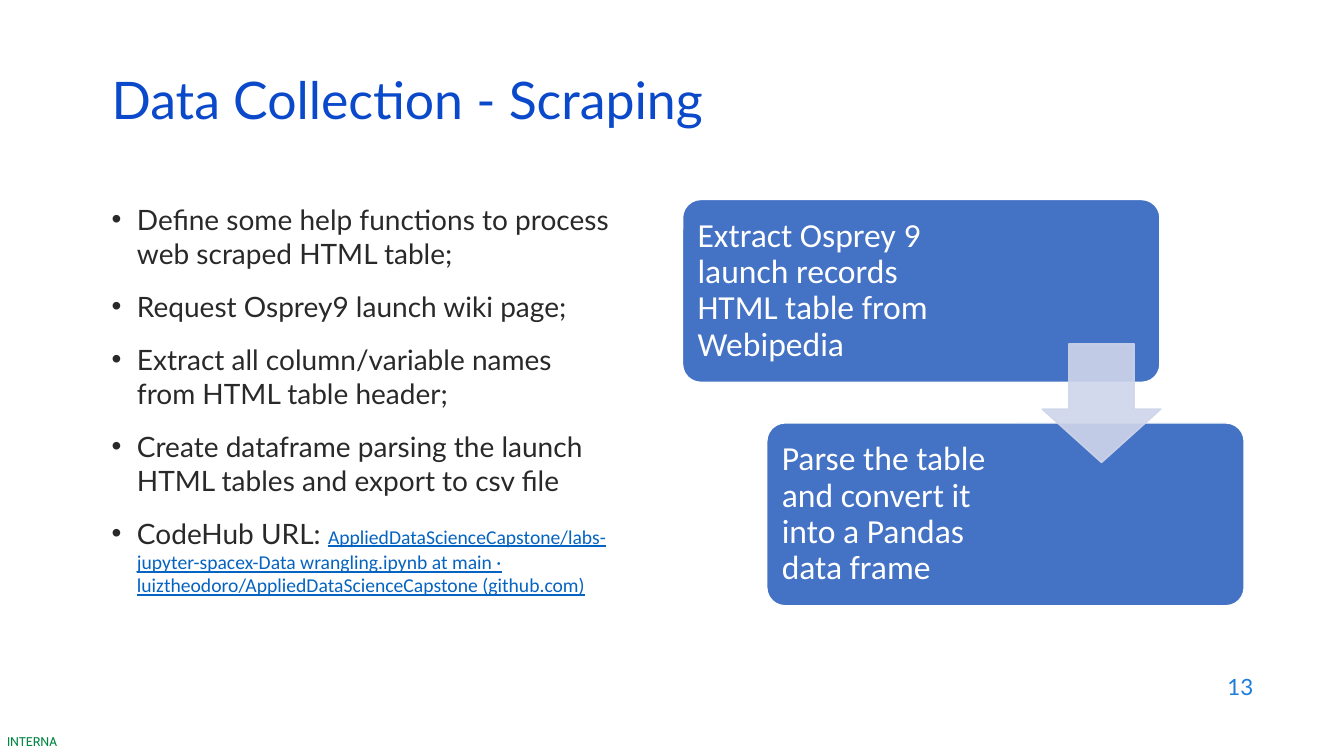
import pptx
import pptx.util
import pptx.dml.color
import pptx.enum.shapes
import pptx.enum.text
import pptx.oxml
import pptx.oxml.ns
from dataclasses import dataclass


@dataclass(frozen=True)
class Theme:
    title: str = "0B49CB"
    body: str = "292929"
    link: str = "0563C1"
    number: str = "1C7DDB"
    label: str = "008542"
    card: str = "4472C4"
    arrow: str = "CFD5EA"
    white: str = "FFFFFF"
    text_font: str = "Lato"
    card_font: str = "Calibri"
    label_font: str = "Cabin"
    title_size: int = 37
    card_size: int = 24
    body_size: int = 20
    number_size: int = 16
    link_size: int = 14
    label_size: int = 9


THEME = Theme()
WIDTH, HEIGHT = 13.33, 7.5
MARGIN = 1.01
BULLETS = [
    "Define some help functions to process web scraped HTML table;",
    "Request Osprey9 launch wiki page;",
    "Extract all column/variable names from HTML table header;",
    "Create dataframe parsing the launch HTML tables and export to csv file",
    "CodeHub URL: ",
]
LINK = ("AppliedDataScienceCapstone/labs-jupyter-spacex-Data wrangling.ipynb at main · "
        "luiztheodoro/AppliedDataScienceCapstone (github.com)")
STEPS = [
    ("Extract Osprey 9 launch records HTML table from Webipedia", 2.86),
    ("Parse the table and convert it into a Pandas data frame", 2.62),
]


def color(value):
    return pptx.dml.color.RGBColor.from_string(value)


def inches(box):
    return [pptx.util.Inches(length) for length in box]


def add_run(paragraph, text, size, font, fill, underline=None):
    run = paragraph.add_run()
    run.text = text
    run.font.size = pptx.util.Pt(size)
    run.font.name = font
    run.font.color.rgb = color(fill)
    run.font.underline = underline


def add_frame(slide, box, anchor=pptx.enum.text.MSO_ANCHOR.MIDDLE, inset=(0.1, 0.05)):
    frame = slide.shapes.add_textbox(*inches(box)).text_frame
    frame.word_wrap = True
    frame.vertical_anchor = anchor
    frame.margin_left = frame.margin_right = pptx.util.Inches(inset[0])
    frame.margin_top = frame.margin_bottom = pptx.util.Inches(inset[1])
    return frame


def add_bullet(paragraph):
    properties = paragraph._p.get_or_add_pPr()
    properties.set("marL", str(pptx.util.Inches(0.25)))
    properties.set("indent", str(-pptx.util.Inches(0.25)))
    properties.append(pptx.oxml.parse_xml(
        f'<a:buFont {pptx.oxml.ns.nsdecls("a")} typeface="Arial"/>'))
    properties.append(pptx.oxml.parse_xml(
        f'<a:buChar {pptx.oxml.ns.nsdecls("a")} char="•"/>'))


def add_block(slide, kind, box, adjustments, fill, line):
    shape = slide.shapes.add_shape(kind, *inches(box))
    for index, value in enumerate(adjustments):
        shape.adjustments[index] = value
    shape.shadow.inherit = False
    shape.fill.solid()
    shape.fill.fore_color.rgb = color(fill)
    shape.line.color.rgb = color(line)
    shape.line.width = pptx.util.Pt(1)
    return shape


def add_title(slide, box):
    paragraph = add_frame(slide, box).paragraphs[0]
    paragraph.line_spacing = 0.7
    add_run(paragraph, "Data Collection - Scraping",
            THEME.title_size, THEME.text_font, THEME.title)


def add_bullets(slide, box):
    frame = add_frame(slide, box, pptx.enum.text.MSO_ANCHOR.TOP)
    for index, text in enumerate(BULLETS):
        paragraph = frame.add_paragraph() if index else frame.paragraphs[0]
        add_bullet(paragraph)
        if index:
            paragraph.space_before = pptx.util.Pt(14)
        add_run(paragraph, text, THEME.body_size, THEME.text_font, THEME.body)
    add_run(paragraph, LINK, THEME.link_size, THEME.card_font, THEME.link, True)


def add_card(slide, box, text, text_width):
    left, top, width, height = box
    add_block(slide, pptx.enum.shapes.MSO_SHAPE.ROUNDED_RECTANGLE, box, [0.1],
              THEME.card, THEME.white)
    inset = 0.05
    frame = add_frame(slide, (left + inset, top + inset, text_width, height - 2 * inset),
                      inset=(0.1, 0.1))
    paragraph = frame.paragraphs[0]
    paragraph.line_spacing = 0.9
    add_run(paragraph, text, THEME.card_size, THEME.card_font, THEME.white)


def add_process(slide, box):
    left, top, width, height = box
    card_width, card_height = width * 0.85, height * 0.45
    for index, (text, text_width) in enumerate(STEPS):
        add_card(slide, (left + index * (width - card_width),
                         top + index * (height - card_height),
                         card_width, card_height), text, text_width)
    side = card_height * 0.65
    arrow = add_block(slide, pptx.enum.shapes.MSO_SHAPE.DOWN_ARROW,
                      (left + card_width - side + 0.01, top + height * 0.355, side, side),
                      [0.55, 0.45], THEME.arrow, THEME.arrow)
    for fill in arrow._element.spPr.iter(pptx.oxml.ns.qn("a:srgbClr")):
        fill.append(pptx.oxml.parse_xml(
            f'<a:alpha {pptx.oxml.ns.nsdecls("a")} val="90000"/>'))


def add_page_number(slide, box):
    paragraph = add_frame(slide, box).paragraphs[0]
    paragraph.alignment = pptx.enum.text.PP_ALIGN.RIGHT
    add_run(paragraph, "13", THEME.number_size, THEME.text_font, THEME.number)


def add_classification(slide, box):
    frame = add_frame(slide, box, pptx.enum.text.MSO_ANCHOR.TOP, (0, 0))
    add_run(frame.paragraphs[0], "INTERNA", THEME.label_size, THEME.label_font, THEME.label)


def main():
    presentation = pptx.Presentation()
    presentation.slide_width, presentation.slide_height = inches((WIDTH, HEIGHT))
    slide = presentation.slides.add_slide(presentation.slide_layouts[6])
    add_classification(slide, (0.07, HEIGHT - 0.22, 0.52, 0.15))
    add_page_number(slide, (9.53, 6.59, 3, 0.44))
    add_bullets(slide, (MARGIN, 1.96, 5.21, 4.78))
    add_title(slide, (MARGIN, 0.76, 11.5, 0.6))
    add_process(slide, (6.77, 1.98, 5.57, 4.03))
    presentation.save("out.pptx")


if __name__ == "__main__":
    main()
